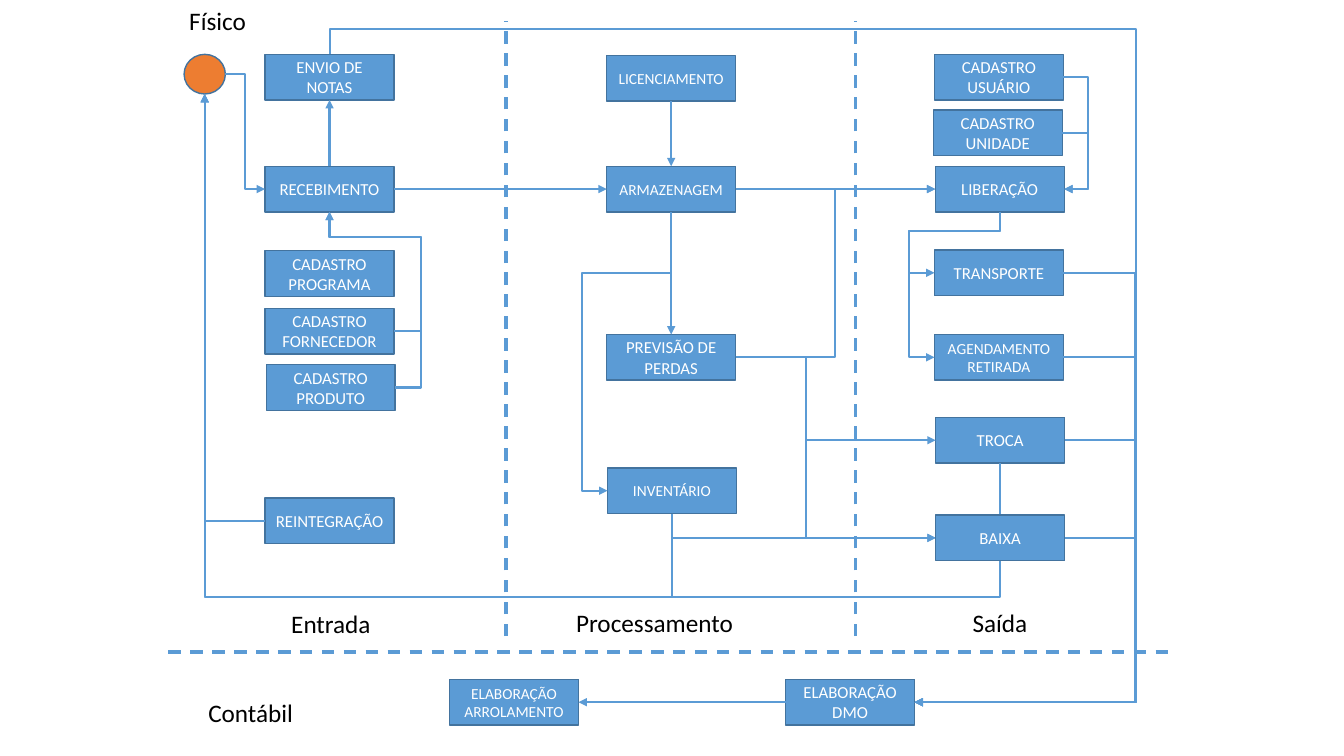
from dataclasses import dataclass

import pptx
import pptx.dml.color
import pptx.enum.dml
import pptx.enum.shapes
import pptx.enum.text
import pptx.oxml
import pptx.oxml.ns
import pptx.util
from pptx.util import Cm, Pt

KIND = pptx.enum.shapes.MSO_SHAPE
LINK = pptx.enum.shapes.MSO_CONNECTOR
ALIGN = pptx.enum.text.PP_ALIGN
TOP, LEFT, BOTTOM, RIGHT = range(4)
IN, MID, OUT = 6.68, 15.29, 23.55


@dataclass(frozen=True)
class Theme:
    font: str = "Calibri"
    blue: str = "5B9BD5"
    edge: str = "43739E"
    ball: str = "ED7D31"
    white: str = "FFFFFF"
    black: str = "000000"
    head: int = 18
    body: int = 12
    small: int = 11


THEME = Theme()

# key: text, left, top, type size
BOXES = {
    "receb": ("RECEBIMENTO", IN, 4.19, THEME.body),
    "notas": ("ENVIO DE NOTAS", IN, 1.37, THEME.body),
    "prog": ("CADASTRO\nPROGRAMA", IN, 6.32, THEME.body),
    "forn": ("CADASTRO FORNECEDOR", IN, 7.77, THEME.body),
    "prod": ("CADASTRO PRODUTO", IN + 0.03, 9.19, THEME.body),
    "reint": ("REINTEGRAÇÃO", IN, 12.55, THEME.body),
    "licen": ("LICENCIAMENTO", MID, 1.4, THEME.small),
    "armaz": ("ARMAZENAGEM", MID, 4.19, THEME.small),
    "perdas": ("PREVISÃO DE PERDAS", MID, 8.43, THEME.body),
    "invent": ("INVENTÁRIO", MID + 0.02, 11.79, THEME.small),
    "user": ("CADASTRO USUÁRIO", OUT, 1.37, THEME.body),
    "unit": ("CADASTRO UNIDADE", OUT - 0.03, 2.77, THEME.body),
    "liber": ("LIBERAÇÃO", OUT + 0.02, 4.19, THEME.body),
    "trans": ("TRANSPORTE", OUT, 6.3, THEME.body),
    "agenda": ("AGENDAMENTO RETIRADA", OUT, 8.43, THEME.small),
    "troca": ("TROCA", OUT + 0.03, 10.52, THEME.body),
    "baixa": ("BAIXA", OUT + 0.03, 12.98, THEME.body),
    "dmo": ("ELABORAÇÃO\nDMO", 19.8, 17.12, THEME.body),
    "arrol": ("ELABORAÇÃO ARROLAMENTO", 11.33, 17.12, THEME.small),
}

LABELS = [
    ("Entrada", 7.09, 15.21, 2.54),
    ("Processamento", 14.27, 15.19, 4.5),
    ("Saída", 24.26, 15.19, 1.91),
    ("Contábil", 5, 17.45, 2.67),
    ("Físico", 4.52, 0, 1.96),
]

BORDERS = [
    (12.75, 16.03, 12.75, 0.53),
    (21.56, 16.03, 21.56, 0.53),
    (4.24, 16.43, 29.64, 16.43),
]

ARROWS = [
    ("receb", RIGHT, "armaz", LEFT),
    ("receb", TOP, "notas", BOTTOM),
    ("licen", BOTTOM, "armaz", TOP),
    ("armaz", RIGHT, "liber", LEFT),
    ("armaz", BOTTOM, "perdas", TOP),
    ("dmo", LEFT, "arrol", RIGHT),
]

# start, side, end, side, then the place of each inner bend
ELBOWS = [
    ("prod", RIGHT, "receb", BOTTOM, 10.62, 5.97),
    ("forn", RIGHT, "receb", BOTTOM, 10.62, 5.97),
    ("ball", RIGHT, "receb", LEFT, 6.17),
    ("invent", BOTTOM, "ball", BOTTOM, 15.04),
    ("invent", BOTTOM, "baixa", LEFT),
    ("user", RIGHT, "liber", RIGHT, 27.43),
    ("unit", RIGHT, "liber", RIGHT, 27.43),
    ("perdas", RIGHT, "liber", LEFT, 21.05),
    ("liber", BOTTOM, "trans", LEFT, 5.83, 22.91),
    ("liber", BOTTOM, "agenda", LEFT, 5.83, 22.91),
    ("reint", LEFT, "ball", BOTTOM),
    ("troca", BOTTOM, "ball", BOTTOM, 15.04),
    ("armaz", BOTTOM, "invent", LEFT, 6.87, 14.66),
    ("notas", TOP, "dmo", RIGHT, 0.74, 28.62),
    ("perdas", RIGHT, "troca", LEFT, 20.32),
    ("perdas", RIGHT, "baixa", LEFT, 20.32),
] + [(key, RIGHT, "dmo", RIGHT, 28.62)
     for key in ("trans", "agenda", "troca", "baixa")]


def color(code):
    return pptx.dml.color.RGBColor.from_string(code)


def write(frame, text, size, tone, align):
    frame.text = text
    for para in frame.paragraphs:
        para.alignment = align
        para.font.name = THEME.font
        para.font.size = Pt(size)
        para.font.color.rgb = color(tone)


def add_label(slide, text, left, top, width):
    box = slide.shapes.add_textbox(Cm(left), Cm(top), Cm(width), Cm(1.03))
    box.text_frame.word_wrap = False
    box.text_frame.auto_size = pptx.enum.text.MSO_AUTO_SIZE.SHAPE_TO_FIT_TEXT
    write(box.text_frame, text, THEME.head, THEME.black, ALIGN.LEFT)


def add_node(slide, kind, left, top, width, height, fill):
    node = slide.shapes.add_shape(
        kind, Cm(left), Cm(top), Cm(width), Cm(height))
    node.shadow.inherit = False
    node.fill.solid()
    node.fill.fore_color.rgb = color(fill)
    node.line.color.rgb = color(THEME.edge)
    node.line.width = Pt(1)
    return node


def add_box(slide, text, left, top, size):
    box = add_node(slide, KIND.FLOWCHART_PROCESS, left, top, 3.25, 1.15,
                   THEME.blue)
    box.text_frame.word_wrap = True
    box.text_frame.vertical_anchor = pptx.enum.text.MSO_ANCHOR.MIDDLE
    write(box.text_frame, text, size, THEME.white, ALIGN.CENTER)
    return box


def add_line(slide, kind, start, end, width):
    line = slide.shapes.add_connector(kind, *start, *end)
    line.line.color.rgb = color(THEME.blue)
    line.line.width = Pt(width)
    pptx.oxml.ns.qn("a:ln")
    add_part(line.element.spPr, "a:effectLst")
    return line


def add_part(parent, tag, **attrs):
    part = pptx.oxml.parse_xml(
        f'<{tag} {pptx.oxml.ns.nsdecls("a")}/>')
    for name, value in attrs.items():
        part.set(name, value)
    parent.append(part)


def add_border(slide, *ends):
    x1, y1, x2, y2 = map(Cm, ends)
    line = add_line(slide, LINK.STRAIGHT, (x1, y1), (x2, y2), 2.25)
    line.line.dash_style = pptx.enum.dml.MSO_LINE.DASH


def port(node, side):
    """Return the middle of one side of a node."""
    x, y = node.left + node.width // 2, node.top + node.height // 2
    return {TOP: (x, node.top), LEFT: (node.left, y),
            BOTTOM: (x, node.top + node.height),
            RIGHT: (node.left + node.width, y)}[side]


def add_arrow(slide, kind, start, out, end, into):
    line = add_line(slide, kind, port(start, out), port(end, into), 1.5)
    add_part(line.element.spPr.find(pptx.oxml.ns.qn("a:ln")), "a:tailEnd",
             type="triangle")
    if start.auto_shape_type != KIND.OVAL:
        line.begin_connect(start, out)
    if end.auto_shape_type != KIND.OVAL:
        line.end_connect(end, into)
    return line


def add_elbow(slide, start, out, end, into, *bends):
    """Bends alternate between the axis of the first leg and the other."""
    line = add_arrow(slide, LINK.ELBOW, start, out, end, into)
    first, last = port(start, out), port(end, into)
    dx, dy = last[0] - first[0], last[1] - first[1]
    upright = out in (TOP, BOTTOM)
    wide, high = (abs(dy), abs(dx)) if upright else (abs(dx), abs(dy))
    line.left = (first[0] + last[0] - wide) // 2
    line.top = (first[1] + last[1] - high) // 2
    line.width, line.height = wide, high

    turn = (270 if dx > 0 else 90) if upright else 0
    flip_h = (dy > 0) == (dx > 0) if upright else dx < 0
    flip_v = not upright and dy < 0
    frame = line.element.spPr.find(pptx.oxml.ns.qn("a:xfrm"))
    frame.set("rot", str(turn * 60000))
    frame.set("flipH", str(int(flip_h)))
    frame.set("flipV", str(int(flip_v)))

    shape = line.element.spPr.find(pptx.oxml.ns.qn("a:prstGeom"))
    shape.set("prst", f"bentConnector{len(bends) + 2}")
    guides = shape.find(pptx.oxml.ns.qn("a:avLst"))
    for i, bend in enumerate(bends):
        axis = (i + upright) % 2
        ratio = (Cm(bend) - first[axis]) / (dx, dy)[axis]
        add_part(guides, "a:gd", name=f"adj{i + 1}",
                 fmla=f"val {round(ratio * 100000)}")


def main():
    deck = pptx.Presentation()
    deck.slide_width, deck.slide_height = Cm(33.87), Cm(19.05)
    slide = deck.slides.add_slide(deck.slide_layouts[6])
    for label in LABELS:
        add_label(slide, *label)
    for border in BORDERS:
        add_border(slide, *border)
    nodes = {key: add_box(slide, *box) for key, box in BOXES.items()}
    nodes["ball"] = add_node(slide, KIND.OVAL, 4.64, 1.37, 1.04, 1,
                             THEME.ball)
    for start, out, end, into in ARROWS:
        add_arrow(slide, LINK.STRAIGHT, nodes[start], out, nodes[end], into)
    for start, out, end, into, *bends in ELBOWS:
        add_elbow(slide, nodes[start], out, nodes[end], into, *bends)
    # The line from TROCA runs behind BAIXA
    slide.shapes.element.append(nodes["baixa"].element)
    deck.save("out.pptx")


if __name__ == "__main__":
    main()
